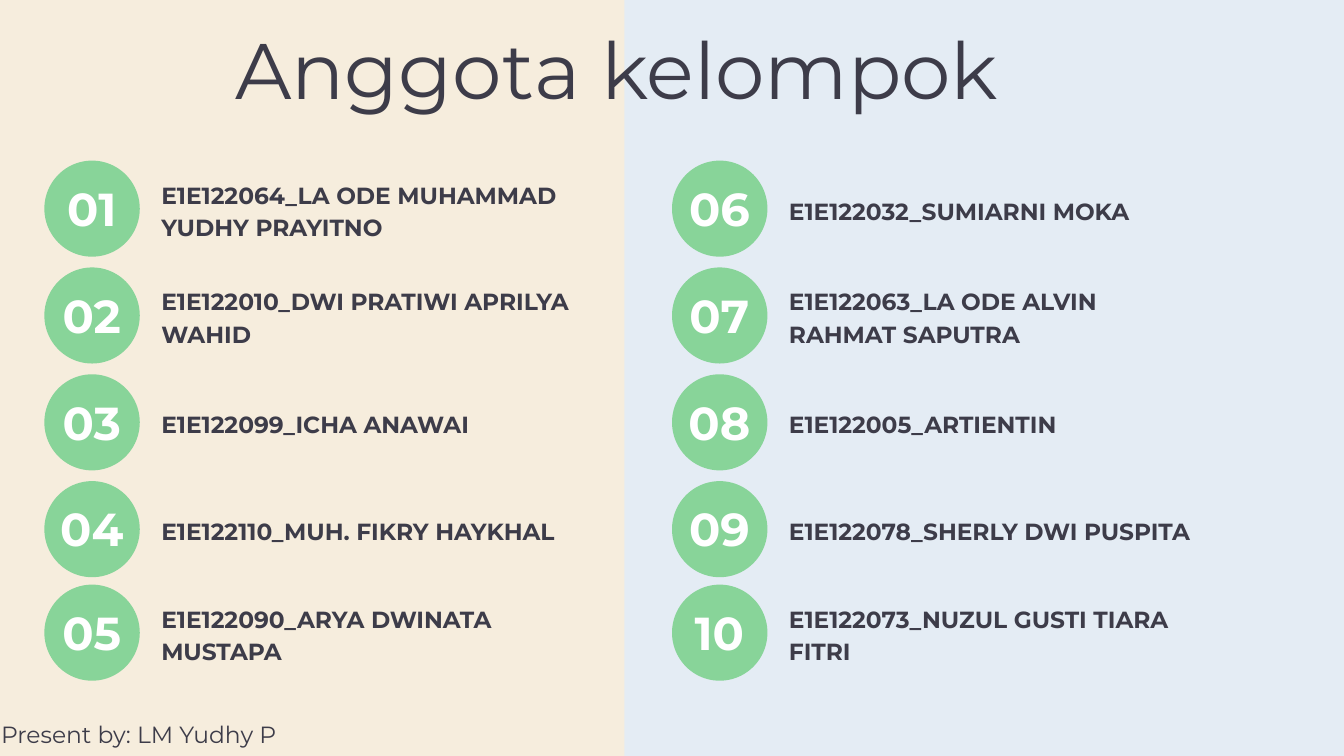
from pptx import Presentation
from pptx.dml.color import RGBColor
from pptx.enum.shapes import MSO_SHAPE
from pptx.enum.text import MSO_ANCHOR, PP_ALIGN
from pptx.util import Inches, Pt

OVAL, RECTANGLE = MSO_SHAPE.OVAL, MSO_SHAPE.RECTANGLE
TOP, MIDDLE = MSO_ANCHOR.TOP, MSO_ANCHOR.MIDDLE
LEFT, CENTER = PP_ALIGN.LEFT, PP_ALIGN.CENTER

CREAM = RGBColor(0xF6, 0xED, 0xDD)
PALE_BLUE = RGBColor(0xE4, 0xEC, 0xF4)
GREEN = RGBColor(0x88, 0xD4, 0x99)
WHITE = RGBColor(0xFF, 0xFF, 0xFF)
INK = RGBColor(0x3D, 0x3C, 0x49)
FONT = "Montserrat"

COLUMN_LEFTS = [0.66, 10]
ROW_TOPS = [2.39, 3.98, 5.57, 7.16, 8.7]
LABEL_HEIGHTS = {1: 0.45, 2: 0.93}
MEMBERS = [
    [
        ("E1E122064_LA ODE MUHAMMAD YUDHY PRAYITNO", 2),
        ("E1E122010_DWI PRATIWI APRILYA WAHID", 2),
        ("E1E122099_ICHA ANAWAI", 1),
        ("E1E122110_MUH. FIKRY HAYKHAL", 1),
        ("E1E122090_ARYA DWINATA MUSTAPA", 2),
    ],
    [
        ("E1E122032_SUMIARNI MOKA", 1),
        ("E1E122063_LA ODE ALVIN RAHMAT SAPUTRA", 2),
        ("E1E122005_ARTIENTIN", 1),
        ("E1E122078_SHERLY DWI PUSPITA", 1),
        ("E1E122073_NUZUL GUSTI TIARA FITRI", 2),
    ],
]


def add_filled_shape(shapes, kind, left, top, width, height, color):
    """Add a flat preset shape without outline or shadow."""
    shape = shapes.add_shape(kind, Inches(left), Inches(top), Inches(width), Inches(height))
    shape.shadow.inherit = False
    shape.fill.solid()
    shape.fill.fore_color.rgb = color
    shape.line.fill.background()


def add_text(shapes, text, left, top, width, height, *, size, spacing,
             color=INK, bold=False, align=LEFT, anchor=TOP, inset=0):
    """Add a wrapped text box holding one formatted paragraph."""
    box = shapes.add_textbox(Inches(left), Inches(top), Inches(width), Inches(height))
    frame = box.text_frame
    frame.word_wrap = True
    frame.vertical_anchor = anchor
    frame.margin_left = frame.margin_right = Inches(inset)
    frame.margin_top = frame.margin_bottom = Inches(inset)
    para = frame.paragraphs[0]
    para.alignment = align
    para.line_spacing = Pt(spacing)
    span = para.add_run()
    span.text = text
    span.font.name = FONT
    span.font.size = Pt(size)
    span.font.bold = bold
    span.font.color.rgb = color


def add_badge(page, number, left, top):
    """Add a green circle grouped with its two-digit number."""
    shapes = page.shapes.add_group_shape().shapes
    add_filled_shape(shapes, OVAL, left, top, 1.42, 1.43, GREEN)
    add_text(shapes, f"{number:02d}", left + 0.13, top - 0.03, 1.15, 1.33, size=49.5,
             spacing=69.3, color=WHITE, bold=True, align=CENTER, anchor=MIDDLE, inset=0.06)


def add_member(page, number, name, lines, left, top):
    """Add a numbered badge and the member's name centred beside it."""
    add_badge(page, number, left, top)
    height = LABEL_HEIGHTS[lines]
    add_text(page.shapes, name, left + 1.74, top + 0.695 - height / 2, 6.26, height,
             size=25, spacing=35, bold=True)


def main():
    """Build the group members slide."""
    deck = Presentation()
    deck.slide_width, deck.slide_height = Inches(20), Inches(11.25)
    page = deck.slides.add_slide(deck.slide_layouts[6])
    page.background.fill.solid()
    page.background.fill.fore_color.rgb = CREAM
    add_filled_shape(page.shapes, RECTANGLE, 9.29, -0.3, 10.9, 11.69, PALE_BLUE)
    add_text(page.shapes, "Anggota kelompok", 3.5, 0.3, 12.65, 1.42, size=84.3, spacing=102.1)

    number = 1
    for left, members in zip(COLUMN_LEFTS, MEMBERS):
        for top, (name, lines) in zip(ROW_TOPS, members):
            add_member(page, number, name, lines, left, top)
            number += 1

    add_text(page.shapes, "Present by: LM Yudhy P", 0, 10.71, 4.13, 0.42,
             size=25.1, spacing=30.4, align=CENTER)
    deck.save("out.pptx")


if __name__ == "__main__":
    main()
